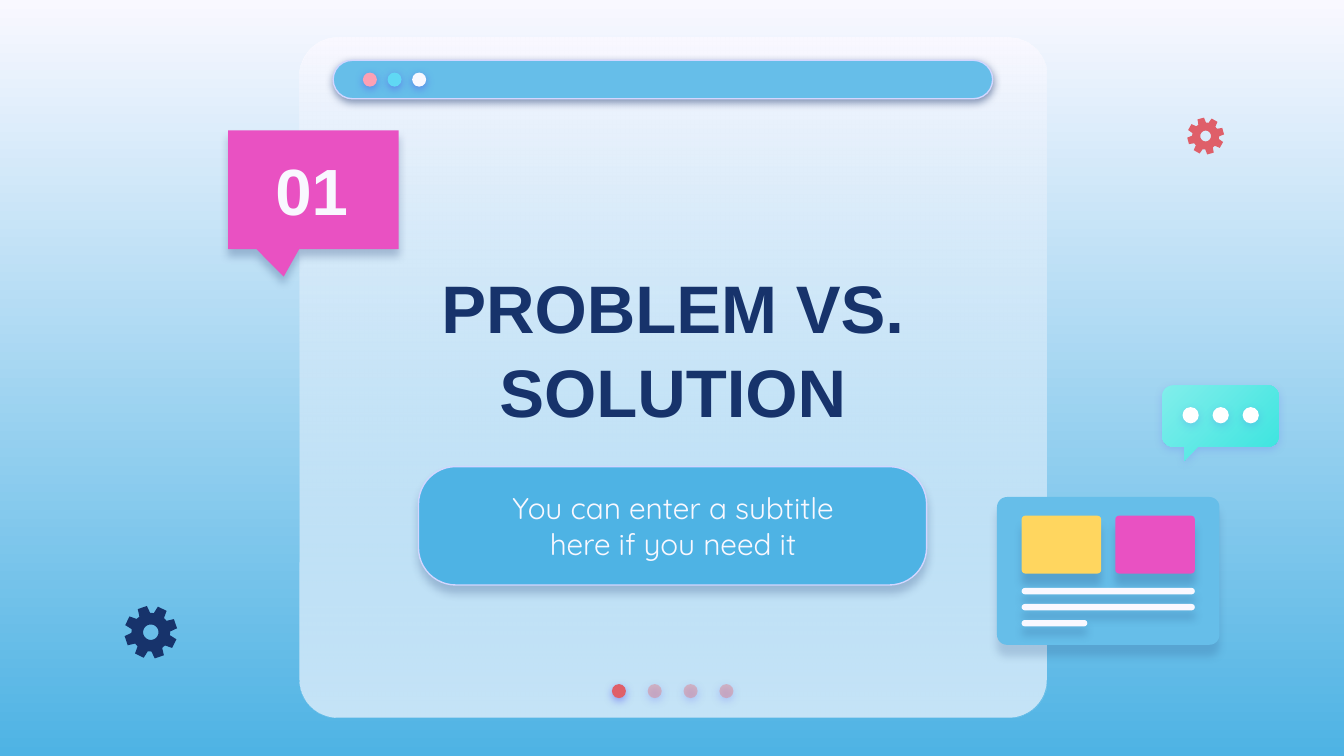
import math

import lxml.etree
import pptx
import pptx.dml.color
import pptx.enum.shapes
import pptx.enum.text
import pptx.oxml.ns
import pptx.util

Pt = pptx.util.Pt
SHAPE = pptx.enum.shapes.MSO_SHAPE
ANCHOR = pptx.enum.text.MSO_ANCHOR
qn = pptx.oxml.ns.qn

WHITE, NAVY, VIOLET = "F9F8FF", "17336B", "5352EE"
SKY, BLUE, PINK, RED = "66BEE9", "4EB3E4", "E951C2", "DF5F69"
YELLOW, EDGE = "FFD65F", "D2D6FF"
DOT_SHADOW = (VIOLET, 50, 1.5)
CHAT_SHADOW = (VIOLET, 18, 1.5)


def rgb(value):
    return pptx.dml.color.RGBColor.from_string(value)


def paint_gradient(fill, colors, angle):
    """Fill with two colours; the angle runs clockwise from left to right."""
    fill.gradient()
    fill.gradient_angle = 360 - angle
    for stop, color, place in zip(fill.gradient_stops, colors, (0, 1)):
        stop.color.rgb = rgb(color)
        stop.position = place


def add_alpha(color_element, percent):
    alpha = lxml.etree.SubElement(color_element, qn("a:alpha"))
    alpha.set("val", str(percent * 1000))


def style(shape, fill, angle=90, opacity=None, line=None, shadow=None):
    """A pair of fill colours makes a gradient; opacity applies to the last colour.
    A shadow is (colour, opacity, distance) and falls straight down."""
    if isinstance(fill, tuple):
        paint_gradient(shape.fill, fill, angle)
    else:
        shape.fill.solid()
        shape.fill.fore_color.rgb = rgb(fill)
    if opacity is not None:
        add_alpha(list(shape._element.spPr.iter(qn("a:srgbClr")))[-1], opacity)
    if line:
        shape.line.color.rgb = rgb(line)
        shape.line.width = Pt(0.75)
    else:
        shape.line.fill.background()
    shape.shadow.inherit = False
    if shadow:
        color, strength, distance = shadow
        effects = shape._element.spPr.find(qn("a:effectLst"))
        outer = lxml.etree.SubElement(effects, qn("a:outerShdw"))
        for name, value in (("blurRad", Pt(4.5)), ("dist", Pt(distance)),
                            ("dir", 90 * 60000), ("algn", "bl"), ("rotWithShape", 0)):
            outer.set(name, str(value))
        tint = lxml.etree.SubElement(outer, qn("a:srgbClr"))
        tint.set("val", color)
        add_alpha(tint, strength)


def add_preset(page, kind, box, fill, adjustments=(), **look):
    shape = page.shapes.add_shape(kind, *map(Pt, box))
    for index, value in enumerate(adjustments):
        shape.adjustments[index] = value
    style(shape, fill, **look)
    return shape


def add_rounded(page, box, radius, fill, **look):
    ratio = min(radius / min(box[2:]), 0.5)
    return add_preset(page, SHAPE.ROUNDED_RECTANGLE, box, fill, (ratio,), **look)


def add_outline(page, contours, fill, **look):
    """Draw closed contours, each a list of points, in hundredths of a point."""
    builder = None
    for contour in contours:
        first, *rest = [(x * 100, y * 100) for x, y in contour]
        if builder is None:
            builder = page.shapes.build_freeform(*first, scale=Pt(1) / 100)
        else:
            builder.move_to(*first)
        builder.add_line_segments(rest, close=True)
    style(builder.convert_to_shape(), fill, **look)


def add_text(page, box, text, font="Arial", size=36, color=WHITE, bold=False,
             anchor=ANCHOR.MIDDLE, spacing=None):
    frame = page.shapes.add_textbox(*map(Pt, box)).text_frame
    frame.word_wrap = True
    frame.vertical_anchor = anchor
    frame.margin_left = frame.margin_right = Pt(7.2)
    frame.margin_top = frame.margin_bottom = Pt(7.2)
    para = frame.paragraphs[0]
    para.alignment = pptx.enum.text.PP_ALIGN.CENTER
    if spacing:
        para.line_spacing = spacing
    span = para.add_run()
    span.text = text
    span.font.name, span.font.size, span.font.bold = font, Pt(size), bold
    span.font.color.rgb = rgb(color)


def add_dots(page, left, top, size, pitch, dots, shadow):
    """Place a row of discs; each dot is (colour, opacity)."""
    for index, (color, opacity) in enumerate(dots):
        add_preset(page, SHAPE.OVAL, (left + index * pitch, top, size, size),
                   color, opacity=opacity, shadow=shadow)


def polar(center, radius, degrees):
    turn = math.radians(degrees)
    return center[0] + radius * math.cos(turn), center[1] + radius * math.sin(turn)


def add_gear(page, center, radius, tilt, color):
    rim = []
    for tooth in range(8):
        middle = tilt + 45 * tooth
        rim += [polar(center, radius * reach, middle + swing)
                for reach, swing in ((0.73, -17), (1, -10.5), (1, 10.5), (0.73, 17))]
    hole = [polar(center, radius * 0.29, -10 * step) for step in range(36)]
    add_outline(page, [rim, hole], color)


def add_window(page, box):
    left, top, width, height = box
    add_rounded(page, box, 20.4, WHITE)
    add_rounded(page, box, 20.4, (WHITE, SKY), opacity=35)
    add_dots(page, left + 167.3, top + 346.5, 7.5, 19.2,
             [(RED, None)] + [("E27B83", 44)] * 3, DOT_SHADOW)
    add_rounded(page, (left + 18, top + 12.3, width - 47, 20.6), 20, SKY,
                line=EDGE, shadow=(NAVY, 50, 1.5))
    add_dots(page, left + 33.9, top + 18.9, 7.5, 13.2,
             [("FDA0B4", None), ("60D8F4", None), (WHITE, None)], DOT_SHADOW)


def add_number(page, box):
    left, top, width, height = box
    add_preset(page, SHAPE.ROUNDED_RECTANGULAR_CALLOUT, box, PINK,
               (-0.174, 0.731, 0), shadow=(NAVY, 25, 3.8))
    add_text(page, (left + 6.7, top + 3.6, 76.3, 56.2), "01", size=35, bold=True,
             anchor=ANCHOR.BOTTOM)


def add_subtitle(page, box):
    left, top, width, height = box
    add_rounded(page, box, 20, BLUE, line=EDGE, shadow=(NAVY, 24, 3.8))
    add_text(page, (left + 28, top + 3.6, 216.7, height - 7.2),
             "You can enter a subtitle here if you need it", font="Quicksand", size=16)


def add_card(page, box):
    left, top, width, height = box
    inset = 13.2
    inner = width - 2 * inset
    add_rounded(page, box, 5.4, SKY, shadow=(NAVY, 17, 6))
    tile_width = 42.6
    for offset, color in ((0, YELLOW), (inner - tile_width, PINK)):
        add_rounded(page, (left + inset + offset, top + 10, tile_width, 31), 2, color,
                    shadow=(NAVY, 20, 6))
    for row, length in enumerate((inner, inner, 35.2)):
        add_rounded(page, (left + inset, top + 48.7 + 8.6 * row, length, 3.4), 1.7,
                    WHITE, shadow=(NAVY, 21, 4.5))


def add_chat(page, box):
    left, top, width, height = box
    radius = 5.8
    right, bottom = left + width, top + height
    corners = (((right - radius, top + radius), -90),
               ((right - radius, bottom - radius), 0),
               ((left + radius, bottom - radius), 90),
               ((left + radius, top + radius), 180))
    arcs = [[polar(center, radius, start + 10 * step) for step in range(10)]
            for center, start in corners]
    tail = [(left + 19, bottom), (left + 11.8, bottom + 7.6), (left + 11.8, bottom)]
    add_outline(page, [arcs[0] + arcs[1] + tail + arcs[2] + arcs[3]],
                ("81EEEB", "3AE4DF"), angle=45, shadow=CHAT_SHADOW)
    add_dots(page, left + 10.9, top + 11.6, 8.7, 16.1, [("FFFFFF", None)] * 3, CHAT_SHADOW)


def main():
    deck = pptx.Presentation()
    deck.slide_width, deck.slide_height = Pt(720), Pt(405)
    page = deck.slides.add_slide(deck.slide_layouts[6])
    paint_gradient(page.background.fill, (WHITE, BLUE), 90)
    add_window(page, (160.5, 20, 400.3, 364.5))
    add_number(page, (122.2, 69.8, 91.4, 63.7))
    add_subtitle(page, (224.2, 250, 272.2, 63.4))
    add_text(page, (195, 120.2, 331, 131), "PROBLEM VS. SOLUTION", color=NAVY,
             bold=True, spacing=1.05)
    add_card(page, (534.1, 266.3, 119.2, 79.2))
    add_chat(page, (622.6, 206.5, 62.5, 32.8))
    add_gear(page, (80.8, 338.7), 14.2, -19, NAVY)
    add_gear(page, (645.9, 72.9), 9.9, -15.5, RED)
    deck.save("out.pptx")


if __name__ == "__main__":
    main()
